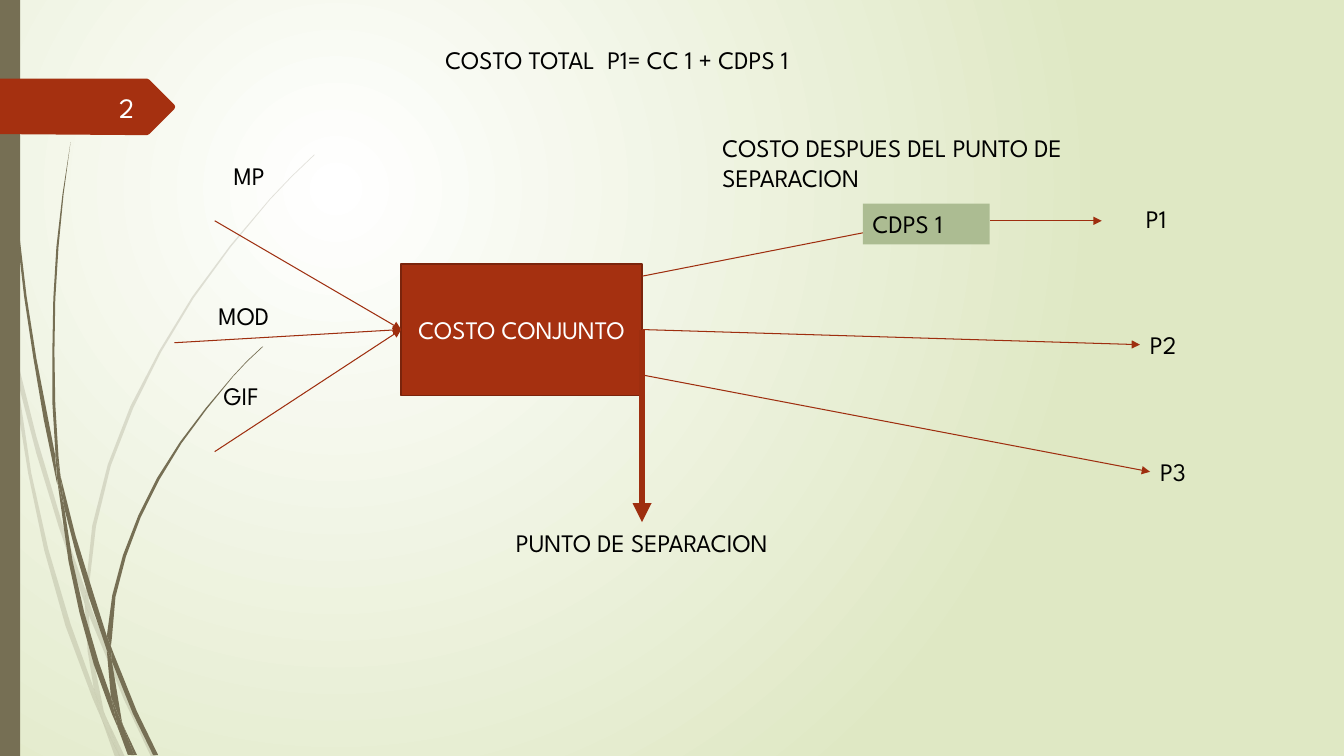
from lxml.etree import SubElement as Sub
from pptx import Presentation
from pptx.dml.color import RGBColor
from pptx.enum.shapes import MSO_CONNECTOR as Link, MSO_SHAPE as Kind
from pptx.enum.text import MSO_ANCHOR as Anchor, PP_ALIGN as Align
from pptx.oxml.ns import qn
from pptx.util import Pt

FONT = "League Spartan"
EARTH, RUST, ARROW = "766F54", "A53010", "9E2E0F"

# Outlines of the grass blades: x,y pairs in points.
PALE = [
    "7.9,252 6.5,231.8 0,203 0,215.3 7.2,247.7",
    "41.8,375.8 60.5,431.3 61.2,421.9 44.6,374.4 26,312 10.1,248.4 12.2,270.7 25.9,323.6",
    "66.2,437 63.4,429.1 63.4,439.2 88.6,499.7 108,540.7 111.6,540.7 91.4,498.2",
    "85.7,540.7 89.3,540.7 75.6,511.9",
    "67,491.8 50.4,445.7 34.5,392.2 22.3,337.7 12.2,270.7 7.9,252 13.2,295.2 20.2,338.4 "
    "31.6,393 46.8,447.1 66.2,499 72.7,514.1 71.3,509",
    "60.5,431.3 62.6,465.1 67,491.8 69.1,498.2 75.6,511.9 74.2,508.3 65.5,465.1 "
    "63.4,439.2 63.4,437.8",
    "63.4,420.5 68.6,375.8 79.2,332.6 95.3,291.2 115.2,251.3 138.4,212.8 164.9,176.4 "
    "193,142.6 208.8,126 224.6,110.9 224.6,110.2 208.1,126 193,141.8 164.2,175.7 137.3,212 "
    "113.8,250.6 93.2,290.2 77,331.9 65.9,375.7 61.2,420.5 61.2,421.9 63.4,429.1",
    "72.7,514.1 82.1,540.7 85.7,540.7",
    "63.4,437.8 63.4,429.1 61.2,421.9 60.5,431.3",
    "69.1,498.2 67,491.8 71.3,509 72.7,514.1 85.7,540.7 75.6,511.9",
]
DARK = [
    "5,79.2 7.8,123.5 12.2,167.8 17.2,211.7 23.8,255.6 31.2,299.5 40.3,343.4 41,346.3 "
    "39.6,329 39.6,326.2 25.9,255.6 19,211.7 13.7,167 8.9,123.1 5.8,78.5 3.6,34.6 2.9,0 "
    "2.2,0 2.9,34.6",
    "63.4,426.2 76.3,464.4 76.3,455.8 76.3,454.3 67,424.8 54,382.9 43.2,339.8 46.1,363.6 "
    "54.2,395",
    "81.4,467.3 79.2,461.5 79.9,472.3 95,509.8 109.4,539.3 113,539.3 97.9,508.3",
    "79.2,497.5 70.6,473 60.1,437 51.8,400.3 46.1,363.6 41,343.4 49,401 56.9,437.9 "
    "67,474.5 79.9,509.8 84.2,519.8 83.5,516.2",
    "43.2,339.8 41.8,326.2 39.5,288.7 38.9,251.3 39.5,213.8 41.8,176.4 45.4,139 50.4,101.5 "
    "44.6,139 40.3,176.4 38.1,213.6 37.4,251.3 37.4,287.3 39.6,323.3",
    "95.8,539.3 97.9,539.3 87.8,517.7",
    "41,343.4 46.1,363.6 43.2,339.8 39.6,323.3 39.6,326.2",
    "79.9,455.8 82.5,426.3 90,397.4 100.5,369.5 113.8,342.7 129.6,316.7 147.6,292.3 "
    "166.3,269.3 176.4,258.5 187.9,247.7 187.2,247.7 176.4,257.8 166.3,268.6 146.9,291.6 "
    "128.5,315.9 112.3,341.3 98.7,368.5 87.8,396.7 80.2,425.2 76.3,454.3 79.2,461.5",
    "84.2,519.8 91.4,539.3 94.3,539.3",
    "76.3,464.4 79.2,497.5 83.5,508.3 87.8,517.7 87.1,515.5 79.9,472.3 78.5,468.7",
    "76.3,464.4 78.5,468.7 79.9,472.3 79.2,461.5 76.3,454.3 76.3,455.8",
    "83.5,508.3 79.2,497.5 83.5,516.2 84.2,519.8 93.6,539.3 95.8,539.3 87.8,517.7",
]
TAG = "0,56.2 97.9,56.2 105.1,56.2 106.6,56.9 124.6,74.9 125.1,76.3 124.6,77.8 106.6,95.8 " \
      "105.1,96.5 97.9,96.5 0,95.8"

LABELS = [
    ("MP", 159.8, 110.9, 50.4),
    ("GIF", 152.6, 267.8, 50.4),
    ("MOD", 149, 211, 61.9),
    ("PUNTO DE SEPARACION", 361.4, 373, 255.6),
    ("P1", 811.4, 141.8, 43.9),
    ("P2", 814.3, 231.8, 43.9),
    ("P3", 821.5, 322.6, 43.9),
    ("COSTO DESPUES DEL PUNTO DE SEPARACION", 509, 90.7, 305.3),
    ("COSTO TOTAL  P1= CC 1 + CDPS 1", 311, 28.1, 339.8),
]
INLET, SPLIT = (286.6, 235.4), (458.6, 235.4)
ARROWS = [
    ((153.4, 157.7), INLET),
    ((124.6, 244.8), INLET),
    ((153.4, 322.6), INLET),
    ((458.6, 197.3), (623.5, 164.9)),
    ((707, 157.7), (787, 157.7)),
    (SPLIT, (814.3, 246.2)),
    ((458.6, 267.8), (821.5, 337)),
]


def paint(target, color):
    target.solid()
    target.fore_color.rgb = RGBColor.from_string(color)


def glow(slide, inner, outer):
    """Fill the background with a round gradient."""
    fill = slide.background.fill
    fill.gradient()
    for stop, color in zip(fill.gradient_stops, (inner, outer)):
        stop.color.rgb = RGBColor.from_string(color)
    grad = slide.background._cSld.find(".//" + qn("a:gradFill"))
    for stop, pos in zip(grad.iter(qn("a:gs")), ("0", "100000")):
        stop.set("pos", pos)
    grad.remove(grad.find(qn("a:lin")))
    ring = Sub(grad, qn("a:path"), {"path": "circle"})
    Sub(ring, qn("a:fillToRect"), l="50000", t="50000", r="100000", b="100000")


def plain(shape, color, edge=None):
    shape.shadow.inherit = False
    paint(shape.fill, color)
    if edge:
        paint(shape.line.fill, edge)
        shape.line.width = Pt(1.25)
    else:
        shape.line.fill.background()
    return shape


def blade(slide, pairs, color, alpha=None):
    """Draw a closed outline, alpha being its opacity in percent."""
    spots = [tuple(Pt(float(n)) for n in pair.split(",")) for pair in pairs.split()]
    pen = slide.shapes.build_freeform(*spots[0])
    pen.add_line_segments(spots[1:], close=True)
    shape = plain(pen.convert_to_shape(), color)
    if alpha:
        tint = shape._element.spPr.find(".//" + qn("a:srgbClr"))
        Sub(tint, qn("a:alpha"), val=str(alpha * 1000))


def block(slide, x, y, w, h, color, edge=None):
    rect = slide.shapes.add_shape(Kind.RECTANGLE, Pt(x), Pt(y), Pt(w), Pt(h))
    return plain(rect, color, edge)


def write(shape, text, size=18, color="000000", align=Align.LEFT, anchor=Anchor.TOP):
    frame = shape.text_frame
    frame.word_wrap = True
    frame.vertical_anchor = anchor
    para = frame.paragraphs[0]
    para.alignment = align
    run = para.add_run()
    run.text = text
    run.font.name, run.font.size = FONT, Pt(size)
    run.font.color.rgb = RGBColor.from_string(color)


def label(slide, text, x, y, w, h=29.1, **style):
    write(slide.shapes.add_textbox(Pt(x), Pt(y), Pt(w), Pt(h)), text, **style)


def arrow(slide, start, end, width=0.75):
    ends = [Pt(n) for n in start + end]
    link = slide.shapes.add_connector(Link.STRAIGHT, *ends)
    paint(link.line.fill, ARROW)
    link.line.width = Pt(width)
    Sub(link.line._get_or_add_ln(), qn("a:tailEnd"), type="triangle")
    Sub(link._element.spPr, qn("a:effectLst"))


def main():
    deck = Presentation()
    deck.slide_width, deck.slide_height = Pt(960), Pt(540)
    slide = deck.slides.add_slide(deck.slide_layouts[6])
    glow(slide, "FFFFFF", "DFE8C4")
    for pairs in PALE:
        blade(slide, pairs, EARTH, alpha=20)
    for pairs in DARK:
        blade(slide, pairs, EARTH)
    block(slide, 0, 0, 14.4, 540, EARTH)
    blade(slide, TAG, RUST)
    label(slide, "2", 41.8, 61.9, 61.2, size=20, color="FEFFFF",
          align=Align.RIGHT, anchor=Anchor.MIDDLE)

    joint = block(slide, 286.6, 188.6, 172, 94, RUST, edge="7A240C")
    write(joint, "COSTO CONJUNTO", color="FFFFFF", align=Align.CENTER, anchor=Anchor.MIDDLE)
    arrow(slide, SPLIT, (458.6, 373), width=4.5)
    for start, end in ARROWS:
        arrow(slide, start, end)
    later = block(slide, 616.3, 145.4, 90.7, 29.1, "ACBC92")
    write(later, "CDPS 1")
    for item in LABELS:
        label(slide, *item)
    deck.save("out.pptx")


if __name__ == "__main__":
    main()
